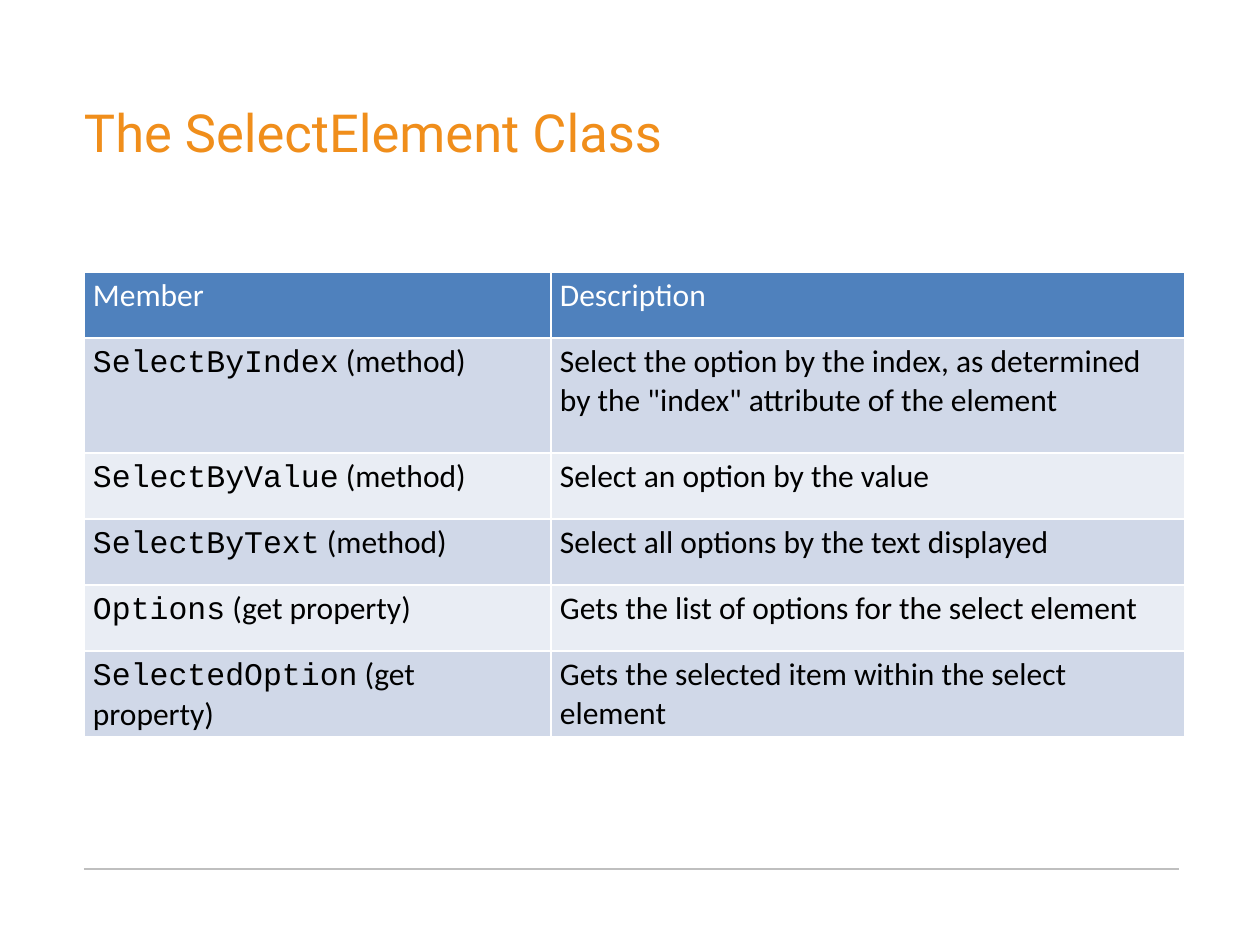
from pptx import Presentation
from pptx import util as u
from pptx.dml.color import RGBColor
from pptx.enum import shapes, text
from pptx.oxml import ns
from lxml import etree

SCALE = 914400 / 126
ORANGE = RGBColor(0xF0, 0x8E, 0x1B)
GREY = RGBColor(0xBF, 0xBF, 0xBF)
WHITE = RGBColor(0xFF, 0xFF, 0xFF)
BLACK = RGBColor(0x00, 0x00, 0x00)
BLUE = RGBColor(0x4F, 0x81, 0xBD)
BANDS = [RGBColor(0xD0, 0xD8, 0xE8), RGBColor(0xE9, 0xED, 0xF4)]

TITLE_FORMAT = {"name": "Roboto", "size": u.Pt(30), "bold": False}
BODY_FORMAT = {"name": "Calibri", "size": u.Pt(18), "bold": False}
CODE_FORMAT = {**BODY_FORMAT, "name": "Courier New"}

HEADINGS = ["Member", "Description"]
MEMBERS = [
    ("SelectByIndex", " (method)",
     'Select the option by the index, as determined by the "index" attribute of the element'),
    ("SelectByValue", " (method)", "Select an option by the value"),
    ("SelectByText", " (method)", "Select all options by the text displayed"),
    ("Options", " (get property)", "Gets the list of options for the select element"),
    ("SelectedOption", " (get property)", "Gets the selected item within the select element"),
]
COLUMN_WIDTHS = [467, 634]
ROW_HEIGHTS = [66, 115, 66, 66, 66, 86]


def px(length):
    return u.Emu(round(length * SCALE))


def set_values(target, values):
    for name, value in values.items():
        setattr(target, name, value)


def add_span(para, words, values, color):
    span = para.add_run()
    span.text = words
    set_values(span.font, values)
    span.font.color.rgb = color


def add_title(page, left, top, width, height):
    box = page.shapes.add_textbox(px(left), px(top), px(width), px(height))
    set_values(box.text_frame, {
        "word_wrap": True, "vertical_anchor": text.MSO_ANCHOR.MIDDLE,
        "margin_left": 0, "margin_top": 0,
        "margin_right": px(13), "margin_bottom": px(6),
    })
    add_span(box.text_frame.paragraphs[0], "The SelectElement Class", TITLE_FORMAT, ORANGE)


def add_rule(page, left, top, width):
    rule = page.shapes.add_connector(
        shapes.MSO_CONNECTOR.STRAIGHT, px(left), px(top), px(left + width), px(top))
    rule.line.color.rgb = GREY
    rule.line.width = u.Pt(0.75)
    etree.SubElement(rule._element.spPr, ns.qn("a:effectLst"))


def fill_cell(cell, spans, fill, color):
    set_values(cell, {
        "margin_left": px(9), "margin_right": px(9),
        "margin_top": px(5), "margin_bottom": px(5),
    })
    cell.fill.solid()
    cell.fill.fore_color.rgb = fill
    for words, values in spans:
        add_span(cell.text_frame.paragraphs[0], words, values, color)


def add_member_table(page, left, top):
    table = page.shapes.add_table(
        len(ROW_HEIGHTS), len(COLUMN_WIDTHS), px(left), px(top),
        px(sum(COLUMN_WIDTHS)), px(sum(ROW_HEIGHTS))).table
    for column, width in zip(table.columns, COLUMN_WIDTHS):
        column.width = px(width)
    for row, height in zip(table.rows, ROW_HEIGHTS):
        row.height = px(height)
    for index, heading in enumerate(HEADINGS):
        fill_cell(table.cell(0, index), [(heading, BODY_FORMAT)], BLUE, WHITE)
    for index, (member, kind, description) in enumerate(MEMBERS):
        band = BANDS[index % 2]
        fill_cell(table.cell(index + 1, 0),
                  [(member, CODE_FORMAT), (kind, BODY_FORMAT)], band, BLACK)
        fill_cell(table.cell(index + 1, 1), [(description, BODY_FORMAT)], band, BLACK)


def main():
    deck = Presentation()
    deck.slide_width, deck.slide_height = px(1260), px(945)
    page = deck.slides.add_slide(deck.slide_layouts[6])
    add_rule(page, 84, 869, 1095)
    add_title(page, 84, 65, 1101, 140)
    add_member_table(page, 84, 272)
    deck.save("out.pptx")


if __name__ == "__main__":
    main()
